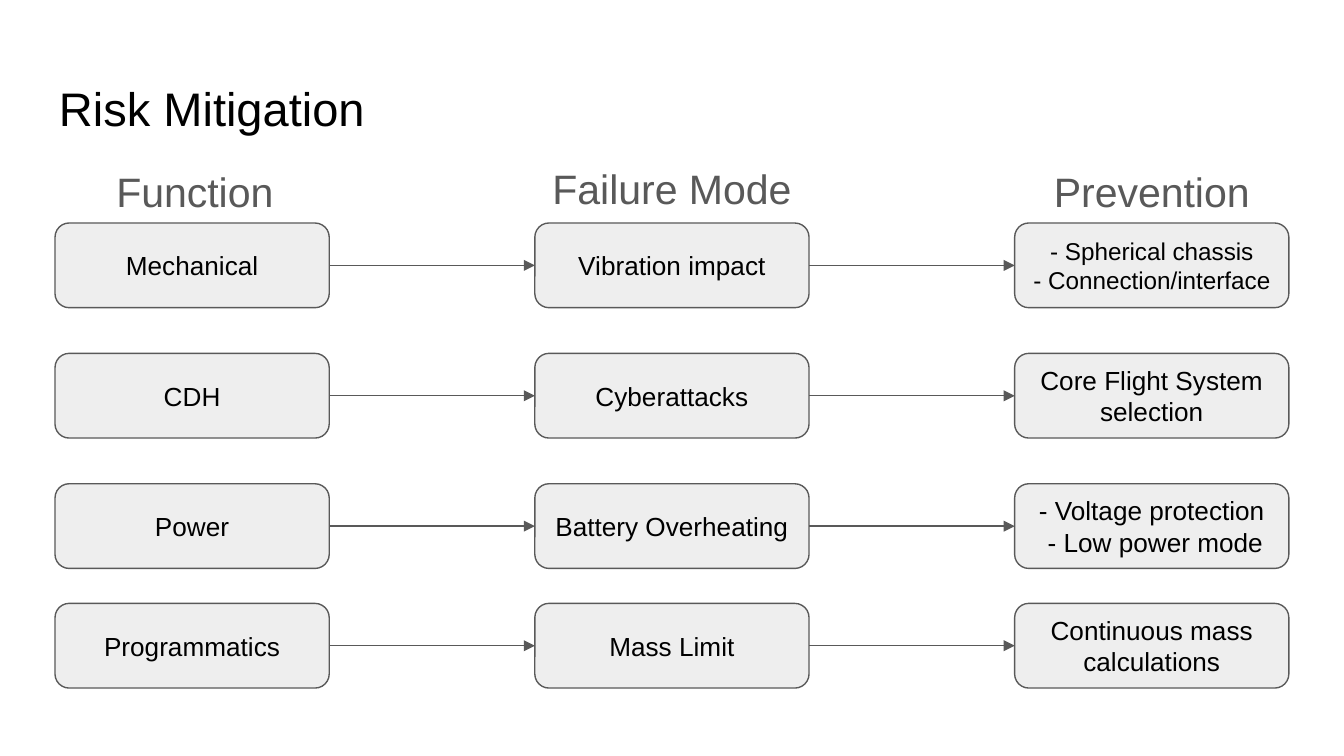
from itertools import pairwise

from lxml import etree
from pptx import Presentation
from pptx.dml.color import RGBColor
from pptx.enum.shapes import MSO_CONNECTOR, MSO_SHAPE
from pptx.enum.text import MSO_ANCHOR, PP_ALIGN
from pptx.oxml.ns import qn
from pptx.util import Inches, Pt

ROUNDED = MSO_SHAPE.ROUNDED_RECTANGLE
STRAIGHT = MSO_CONNECTOR.STRAIGHT
TOP = MSO_ANCHOR.TOP
MIDDLE = MSO_ANCHOR.MIDDLE
LEFT = PP_ALIGN.LEFT
CENTER = PP_ALIGN.CENTER

BLACK = RGBColor(0x00, 0x00, 0x00)
GRAY = RGBColor(0x59, 0x59, 0x59)
PALE = RGBColor(0xEE, 0xEE, 0xEE)

SLIDE_WIDTH = Inches(10)
SLIDE_HEIGHT = SLIDE_WIDTH * 9 // 16
LEFT_SITE, RIGHT_SITE = 1, 3
CARD_WIDTH, CARD_HEIGHT = 2.04, 0.63
COLUMN_PITCH = 3.57
ROW_OFFSETS = [0, 0.97, 1.94, 2.83]

HEADINGS = [
    ("Function", (0.46, 1.14, 1.98, 0.63)),
    ("Failure Mode", (3.53, 1.12, 2.94, 0.63)),
    ("Prevention", (7.58, 1.14, 1.98, 0.63)),
]
RISKS = [
    (("Mechanical", 14), ("Vibration impact", 14),
     ("- Spherical chassis\n- Connection/interface", 13)),
    (("CDH", 14), ("Cyberattacks", 14), ("Core Flight System selection", 14)),
    (("Power", 14), ("Battery Overheating", 14),
     ("- Voltage protection\n - Low power mode", 14)),
    (("Programmatics", 14), ("Mass Limit", 14),
     ("Continuous mass calculations", 14)),
]


def write_text(shape, text, size, color, align, anchor):
    frame = shape.text_frame
    frame_format = {
        "word_wrap": True,
        "vertical_anchor": anchor,
        "margin_left": Inches(0.1),
        "margin_right": Inches(0.1),
        "margin_top": Inches(0.1),
        "margin_bottom": Inches(0.1),
    }
    for name, value in frame_format.items():
        setattr(frame, name, value)
    frame.text = text
    for paragraph in frame.paragraphs:
        paragraph.alignment = align
        for name, value in {"name": "Arial", "size": Pt(size)}.items():
            setattr(paragraph.font, name, value)
        paragraph.font.color.rgb = color


def add_label(slide, box, text, size, color, align):
    label = slide.shapes.add_textbox(*map(Inches, box))
    write_text(label, text, size, color, align, TOP)


def add_card(slide, box, text, size):
    card = slide.shapes.add_shape(ROUNDED, *map(Inches, box))
    card.shadow.inherit = False
    card.fill.solid()
    card.fill.fore_color.rgb = PALE
    card.line.color.rgb = GRAY
    card.line.width = Pt(0.75)
    write_text(card, text, size, BLACK, CENTER, MIDDLE)
    return card


def add_arrow(slide, source, target):
    arrow = slide.shapes.add_connector(STRAIGHT, 0, 0, 0, 0)
    arrow.begin_connect(source, RIGHT_SITE)
    arrow.end_connect(target, LEFT_SITE)
    arrow.line.color.rgb = GRAY
    arrow.line.width = Pt(0.75)
    etree.SubElement(arrow.line._get_or_add_ln(), qn("a:tailEnd"), type="triangle")
    etree.SubElement(arrow._element.spPr, qn("a:effectLst"))


def add_risk_grid(slide, left, top):
    for offset, risk in zip(ROW_OFFSETS, RISKS):
        cards = [
            add_card(
                slide,
                (left + column * COLUMN_PITCH, top + offset, CARD_WIDTH, CARD_HEIGHT),
                text,
                size,
            )
            for column, (text, size) in enumerate(risk)
        ]
        for source, target in pairwise(cards):
            add_arrow(slide, source, target)


def main():
    deck = Presentation()
    deck.slide_width = SLIDE_WIDTH
    deck.slide_height = SLIDE_HEIGHT
    slide = deck.slides.add_slide(deck.slide_layouts[6])
    add_label(slide, (0.34, 0.49, 9.32, 0.63), "Risk Mitigation", 25.2, BLACK, LEFT)
    add_risk_grid(slide, 0.41, 1.66)
    for heading, box in HEADINGS:
        add_label(slide, box, heading, 22, GRAY, CENTER)
    deck.save("out.pptx")


if __name__ == "__main__":
    main()
